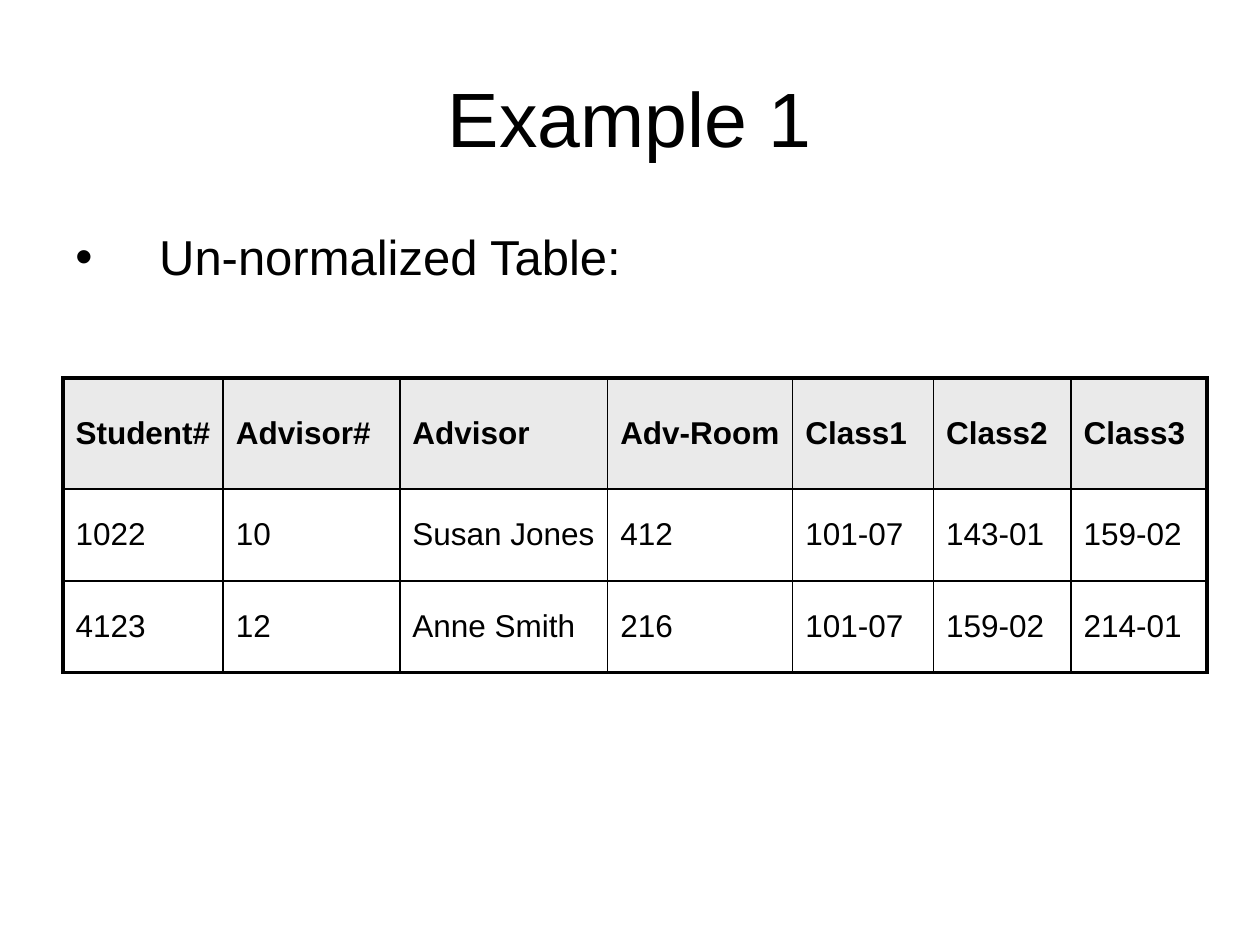
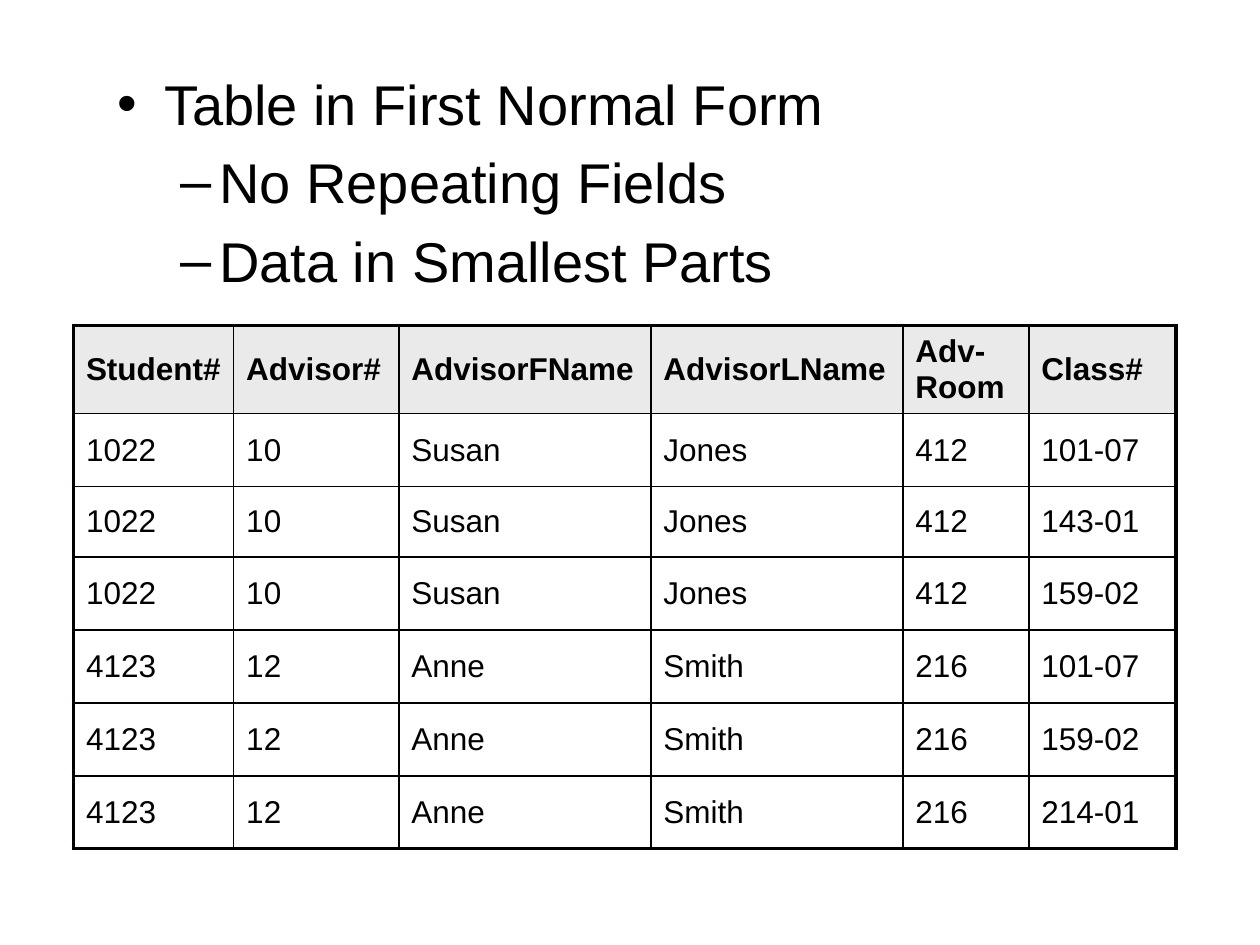
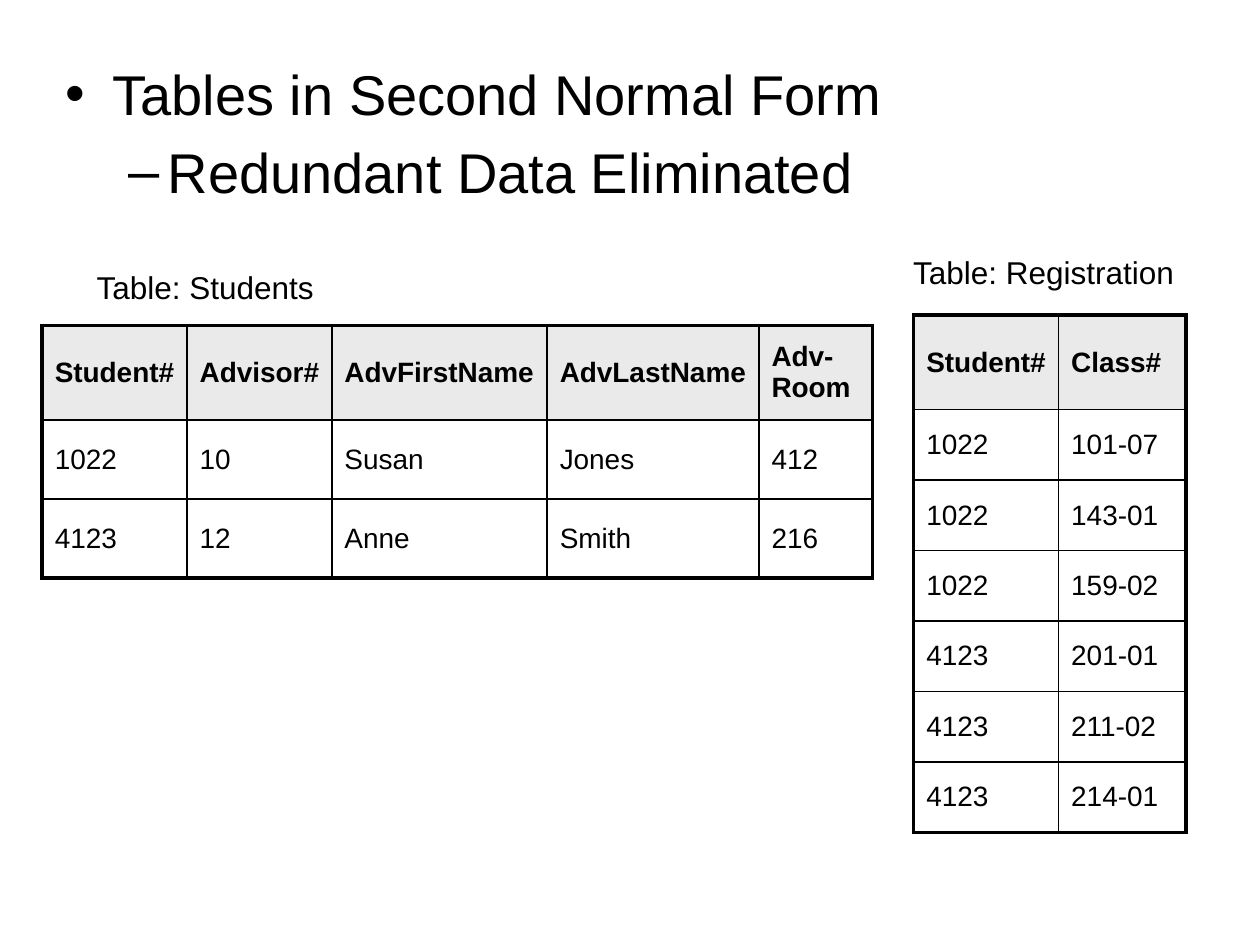
from lxml import etree
from pptx import Presentation
from pptx import util as u
from pptx.dml.color import RGBColor
from pptx.enum import text
from pptx.oxml import ns

FONT = "Arial"
BLACK = "000000"
HEADER_GREY = "EAEAEA"
THICK, THIN = 2.25, 1
# Bullet sign, left margin and hanging indent (cm) for each outline level
OUTLINE = [("•", 0.95, 0.95), ("–", 2.06, 0.79)]
WIDE_OUTLINE = [("•", 1.69, 1.69)]


def write_paragraph(paragraph, words, size, bold=False, spaced=False, bullet=None):
    """Fill a paragraph; spaced adds 20% before it, bullet is an outline entry."""
    paragraph.text = words
    paragraph.font.name = FONT
    paragraph.font.size = u.Pt(size)
    paragraph.font.bold = bold
    paragraph.font.color.rgb = RGBColor.from_string(BLACK)
    properties = paragraph._p.get_or_add_pPr()
    default_run = properties.find(ns.qn("a:defRPr"))
    additions = []
    if spaced:
        spacing = etree.Element(ns.qn("a:spcBef"))
        etree.SubElement(spacing, ns.qn("a:spcPct"), val="20000")
        additions.append(spacing)
    if bullet:
        sign, margin, hanging = bullet
        properties.set("marL", str(u.Cm(margin)))
        properties.set("indent", str(-u.Cm(hanging)))
        additions.append(etree.Element(ns.qn("a:buFont"), typeface=FONT))
        additions.append(etree.Element(ns.qn("a:buChar"), char=sign))
    for addition in additions:
        if default_run is None:
            properties.append(addition)
        else:
            default_run.addprevious(addition)


def add_grid(slide, left, top, widths, heights, size, rows):
    """Add a table with a grey header, thin inner lines and a thick frame."""
    table = slide.shapes.add_table(
        len(rows), len(widths), u.Cm(left), u.Cm(top),
        u.Cm(sum(widths)), u.Cm(sum(heights))).table
    table.first_row = table.horz_banding = False
    for column, width in zip(table.columns, widths):
        column.width = u.Cm(width)
    last_row, last_column = len(rows) - 1, len(widths) - 1
    for r, row in enumerate(rows):
        table.rows[r].height = u.Cm(heights[r])
        for c, words in enumerate(row):
            cell = table.cell(r, c)
            cell.vertical_anchor = text.MSO_ANCHOR.MIDDLE
            write_paragraph(cell.text_frame.paragraphs[0], words, size,
                            bold=r == 0, spaced=True)
            if r == 0:
                cell.fill.solid()
                cell.fill.fore_color.rgb = RGBColor.from_string(HEADER_GREY)
            else:
                cell.fill.background()
            on_frame = {"L": c == 0, "R": c == last_column,
                        "T": r == 0, "B": r == last_row}
            for position, (side, framed) in enumerate(on_frame.items()):
                border = etree.Element(ns.qn("a:ln" + side),
                                       w=str(u.Pt(THICK if framed else THIN)))
                line_fill = etree.SubElement(border, ns.qn("a:solidFill"))
                etree.SubElement(line_fill, ns.qn("a:srgbClr"), val=BLACK)
                cell._tc.get_or_add_tcPr().insert(position, border)
    return table


presentation = Presentation()
presentation.slide_width = u.Cm(25.4)
presentation.slide_height = u.Cm(19.05)
blank = presentation.slide_layouts[6]
example, first_form, second_form = [presentation.slides.add_slide(blank) for _ in range(3)]

# Title of the example
title = example.shapes.add_textbox(u.Cm(1.27), u.Cm(0.76), u.Cm(22.86), u.Cm(3.18))
title.text_frame.word_wrap = True
title.text_frame.vertical_anchor = text.MSO_ANCHOR.MIDDLE
write_paragraph(title.text_frame.paragraphs[0], "Example 1", 44)
title.text_frame.paragraphs[0].alignment = text.PP_ALIGN.CENTER

# Bulleted headings: slide, box, size, outline, lines with their levels
headings = [
    (example, (1.27, 4.45, 12.5, 2.54), 28, WIDE_OUTLINE,
     [("Un-normalized Table:", 0)]),
    (first_form, (2.11, 1.27, 20.12, 5.72), 32, OUTLINE,
     [("Table in First Normal Form", 0),
      ("No Repeating Fields", 1),
      ("Data in Smallest Parts", 1)]),
    (second_form, (1.07, 1.07, 22.02, 3.38), 32, OUTLINE,
     [("Tables in Second Normal Form", 0),
      ("Redundant Data Eliminated", 1)]),
]
for slide, box, size, outline, lines in headings:
    frame = slide.shapes.add_textbox(*map(u.Cm, box)).text_frame
    frame.word_wrap = True
    for number, (words, level) in enumerate(lines):
        paragraph = frame.add_paragraph() if number else frame.paragraphs[0]
        paragraph.level = level
        write_paragraph(paragraph, words, size, spaced=True, bullet=outline[level])

# Un-normalized table
add_grid(example, 1.27, 7.62, [3.23, 3.56, 4.19, 3.73, 2.84, 2.77, 2.74],
         [2.24, 1.85, 1.85], 18, [
    ("Student#", "Advisor#", "Advisor", "Adv-Room", "Class1", "Class2", "Class3"),
    ("1022", "10", "Susan Jones", "412", "101-07", "143-01", "159-02"),
    ("4123", "12", "Anne Smith", "216", "101-07", "159-02", "214-01"),
])

# First normal form: one row for each student and class
susan_row = ("1022", "10", "Susan", "Jones", "412")
anne_row = ("4123", "12", "Anne", "Smith", "216")
first_form_rows = [
    ("Student#", "Advisor#", "AdvisorFName", "AdvisorLName", "Adv-Room", "Class#")]
for student_row, classes in [(susan_row, ("101-07", "143-01", "159-02")),
                             (anne_row, ("101-07", "159-02", "214-01"))]:
    first_form_rows += [student_row + (class_number,) for class_number in classes]
add_grid(first_form, 1.48, 6.56, [3.23, 3.33, 5.08, 5.08, 2.54, 2.97],
         [1.75, 1.47, 1.42] + [1.47] * 4, 18, first_form_rows)

# Second normal form: students and registration
students = add_grid(second_form, 0.85, 6.56, [2.92, 2.92, 4.34, 4.27, 2.29],
                    [1.91, 1.59, 1.59], 16, [
    ("Student#", "Advisor#", "AdvFirstName", "AdvLastName", "Adv-Room"),
    susan_row,
    anne_row,
])
students.cell(0, 1).text_frame.paragraphs[0].alignment = text.PP_ALIGN.CENTER
add_grid(second_form, 18.42, 6.35, [2.92, 2.57], [1.91] + [1.42] * 6, 16, [
    ("Student#", "Class#"),
    ("1022", "101-07"),
    ("1022", "143-01"),
    ("1022", "159-02"),
    ("4123", "201-01"),
    ("4123", "211-02"),
    ("4123", "214-01"),
])

# Table captions
for words, left, top, width in [("Table: Students", 1.7, 5.28, 4.95),
                                ("Table: Registration", 18.16, 4.98, 5.84)]:
    caption = second_form.shapes.add_textbox(u.Cm(left), u.Cm(top), u.Cm(width), u.Cm(1.02))
    caption.text_frame.word_wrap = False
    caption.text_frame.auto_size = text.MSO_AUTO_SIZE.SHAPE_TO_FIT_TEXT
    write_paragraph(caption.text_frame.paragraphs[0], words, 18)

presentation.save("out.pptx")
